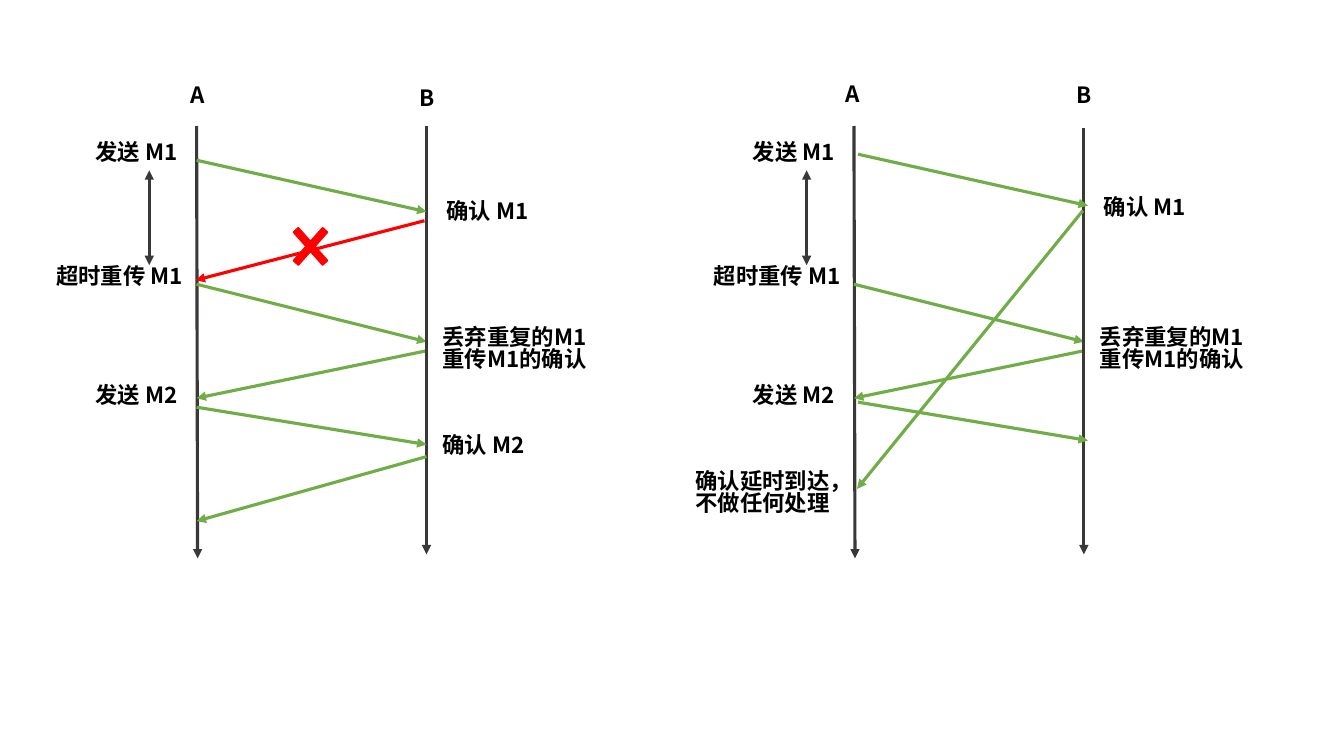
from lxml.etree import SubElement
from pptx import Presentation
from pptx.dml.color import RGBColor
from pptx.enum.shapes import MSO_CONNECTOR, MSO_SHAPE
from pptx.enum.text import MSO_AUTO_SIZE
from pptx.oxml.ns import qn
from pptx.util import Inches, Pt

COLORS = {"axis": "3B3838", "message": "70AD47", "lost": "FF0000", "text": "000000"}
FONT = "Noto Sans CJK SC"
PANEL_SHIFT = 6.52
LINE_SPACING = 0.82

SHARED_LINES = [
    ("axis", (1.95, 1.25), (1.96, 5.54), False),
    ("message", (1.95, 2.82), (4.23, 3.39), False),
    ("message", (4.23, 3.48), (1.95, 3.95), False),
    ("axis", (1.48, 1.69), (1.48, 2.63), True),
]
SHARED_LABELS = [
    ("发送 M1", 0.85, 1.37, 1.26, 0.37),
    ("超时重传 M1", 0.46, 2.6, 1.48, 0.37),
    ("发送 M2", 0.85, 3.78, 1.26, 0.37),
    ("丢弃重复的M1\n重传M1的确认", 4.29, 3.2, 1.72, 0.64),
]
LOST_ACK_LINES = [
    ("axis", (4.23, 1.25), (4.23, 5.5), False),
    ("message", (1.95, 1.59), (4.23, 2.1), False),
    ("message", (1.95, 4.04), (4.23, 4.41), False),
    ("message", (4.23, 4.53), (1.95, 5.17), False),
    ("lost", (4.21, 2.19), (1.94, 2.78), False),
]
LOST_ACK_LABELS = [
    ("A", 1.79, 0.8, 0.47, 0.37),
    ("B", 4.06, 0.83, 0.47, 0.37),
    ("确认 M1", 4.33, 1.95, 1.26, 0.37),
    ("确认 M2", 4.29, 4.28, 1.26, 0.37),
]
LATE_ACK_LINES = [
    ("axis", (10.75, 1.27), (10.75, 5.5), False),
    ("message", (10.74, 2.09), (8.5, 4.85), False),
    ("message", (8.51, 3.99), (10.79, 4.37), False),
    ("message", (8.51, 1.53), (10.79, 2.04), False),
]
LATE_ACK_LABELS = [
    ("A", 8.29, 0.79, 0.47, 0.37),
    ("B", 10.58, 0.8, 0.47, 0.37),
    ("确认 M1", 10.85, 1.91, 1.26, 0.37),
    ("确认延时到达，不做任何处理", 6.8, 4.63, 1.72, 0.64),
]
LOSS_MARK = (2.8, 2.13, 0.56, 0.63)


def color(role):
    return RGBColor.from_string(COLORS[role])


def draw_line(slide, role, start, end, both_ends, shift=0):
    arrow = slide.shapes.add_connector(
        MSO_CONNECTOR.STRAIGHT,
        Inches(start[0] + shift), Inches(start[1]),
        Inches(end[0] + shift), Inches(end[1]),
    )
    arrow.line.color.rgb = color(role)
    arrow.line.width = Pt(2.25)
    outline = arrow.line._get_or_add_ln()
    for tip in ("a:headEnd", "a:tailEnd") if both_ends else ("a:tailEnd",):
        SubElement(outline, qn(tip), type="triangle")
    SubElement(arrow._element.spPr, qn("a:effectLst"))


def draw_label(slide, words, left, top, width, height, shift=0):
    label = slide.shapes.add_textbox(
        Inches(left + shift), Inches(top), Inches(width), Inches(height)
    )
    frame = label.text_frame
    frame.word_wrap = True
    frame.auto_size = MSO_AUTO_SIZE.SHAPE_TO_FIT_TEXT
    frame.text = words
    for paragraph in frame.paragraphs:
        paragraph.line_spacing = LINE_SPACING
        for run in paragraph.runs:
            run.font.size = Pt(16)
            run.font.bold = True
            run.font.name = FONT
            run.font.color.rgb = color("text")
            SubElement(run.font._element, qn("a:ea"), typeface=FONT)


def draw_loss_mark(slide):
    cross = slide.shapes.add_shape(MSO_SHAPE.MATH_MULTIPLY, *map(Inches, LOSS_MARK))
    cross.adjustments[0] = 0.121
    cross.shadow.inherit = False
    cross.fill.solid()
    cross.fill.fore_color.rgb = color("lost")
    cross.line.color.rgb = color("lost")
    cross.line.width = Pt(1)


def main():
    deck = Presentation()
    deck.slide_width, deck.slide_height = Inches(13.33), Inches(7.5)
    slide = deck.slides.add_slide(deck.slide_layouts[6])
    for shift in (0, PANEL_SHIFT):
        for line in SHARED_LINES:
            draw_line(slide, *line, shift)
        for label in SHARED_LABELS:
            draw_label(slide, *label, shift)
    for line in LOST_ACK_LINES + LATE_ACK_LINES:
        draw_line(slide, *line)
    for label in LOST_ACK_LABELS + LATE_ACK_LABELS:
        draw_label(slide, *label)
    draw_loss_mark(slide)
    deck.save("out.pptx")


if __name__ == "__main__":
    main()
